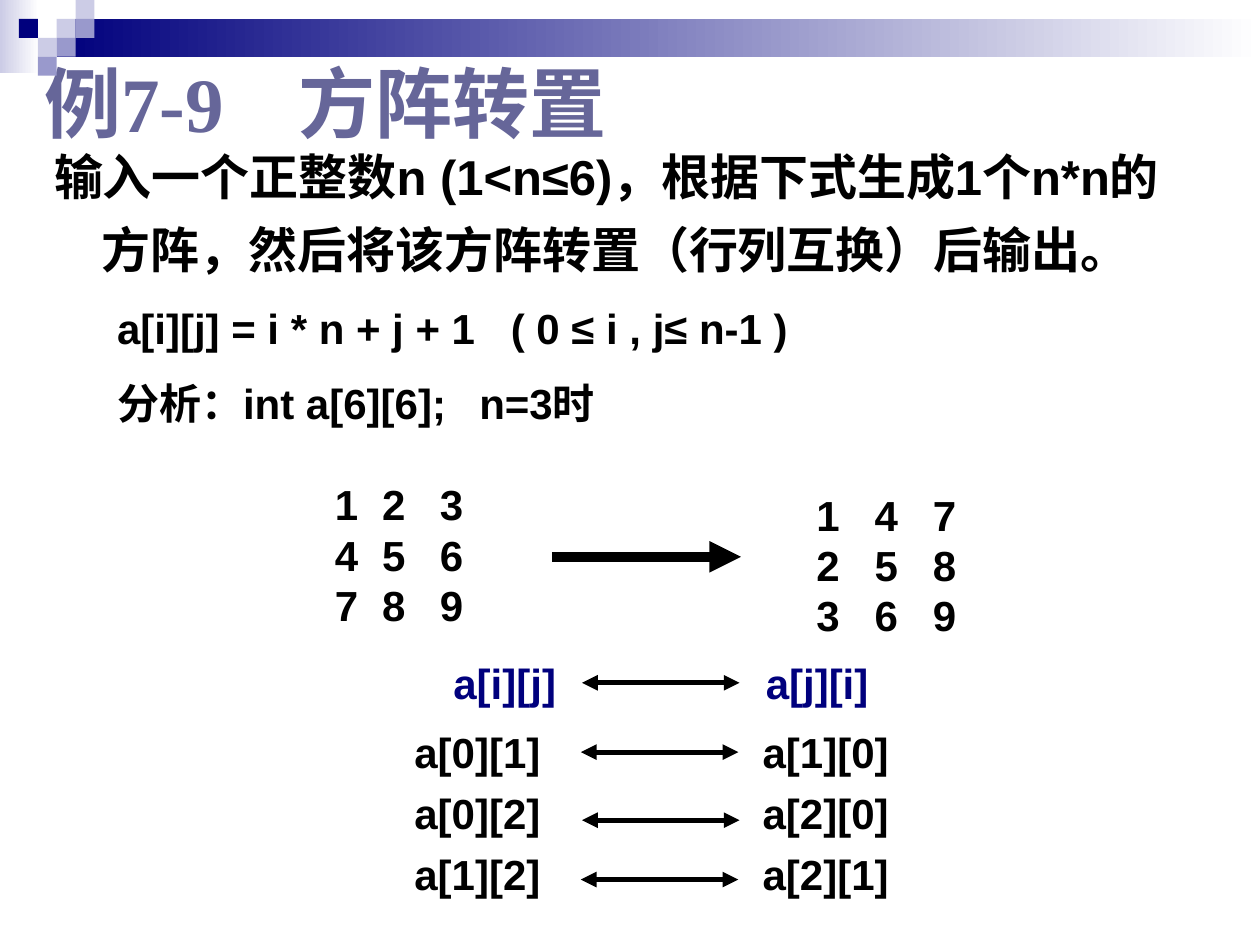
"""Build the slide on transposing a square matrix."""
from lxml import etree
from pptx import Presentation, util as u
from pptx.dml.color import RGBColor
from pptx.enum import shapes as s, text as t
from pptx.oxml.ns import qn

Pt = u.Pt
THEME = dict(
    navy="00007D", pale="CCCCE6", mid="9999CC", white="FFFFFF", black="000000", title="666699",
    sans="Arial", serif="Times New Roman", head=44, lead=28, body=24,
)

TITLE = "例7-9\t方阵转置"
TASK = [
    ("输入一个正整数n (1<n≤6)，根据下式生成1个n*n的方阵，然后将该方阵转置（行列互换）后输出。", "lead", 27.36, -27.36, []),
    ("a[i][j] = i * n + j + 1\t( 0 ≤ i , j≤ n-1 )", "body", 36, 0, [225]),
    ("分析：int a[6][6];\tn=3时", "body", 36, 0, [207]),
]
ROWS = [[1, 2, 3], [4, 5, 6], [7, 8, 9]]
GRIDS = [
    (ROWS, (184.3, 270, 113, 94), [27, 60]),
    (list(zip(*ROWS)), (459.4, 276, 156, 94), [33.3, 66.6]),
]
RULE = [("a[i][j]", "a[j][i]")]
SWAPS = [(f"a[{i}][{j}]", f"a[{j}][{i}]") for i in range(3) for j in range(i + 1, 3)]
PAIRS = [
    (SWAPS, (229.7, 411.8, 342, 106.6), [199], "black", 6),
    (RULE, (252, 372.2, 278, 36), [178.5], "navy", 0),
]
ARROWS = [(315.4, 318.2, 108, 6, False)] + [
    (x, y, 90, 3, True) for x, y in [(332.6, 390.2), (331.9, 429.8), (332.6, 468.7), (331.9, 502.6)]
]
CELL = 10.8
BANDS = [((0, 0, 22.3, 41.8), "pale"), ((32.4, CELL, 687.6, 21.6), "navy")]
TILES = [
    (3, 1, "pale"), (4, 0, "pale"), (4, 1, "mid"), (2, 2, "pale"),
    (1, 1, "navy"), (3, 2, "mid"), (2, 3, "mid"),
]


def hue(name):
    return RGBColor.from_string(THEME[name])


def block(slide, box, tint=None, fade=None):
    item = slide.shapes.add_shape(s.MSO_SHAPE.RECTANGLE, *map(Pt, box))
    item.shadow.inherit = False
    item.line.fill.background()
    if fade:
        item.fill.gradient()
        item.fill.gradient_angle = 0
        for stop, name in zip(item.fill.gradient_stops, (fade, "white")):
            stop.color.rgb = hue(name)
            stop.position = float(name == "white")
    else:
        item.fill.solid()
        item.fill.fore_color.rgb = hue(tint)


def style(para, size, tint="black", face="sans", stops=(), left=0, hang=0):
    props = para._p.get_or_add_pPr()
    for key, value in (("marL", left), ("indent", hang)):
        if value:
            props.set(key, str(Pt(value)))
    if stops:
        tabs = etree.SubElement(props, qn("a:tabLst"))
        for stop in stops:
            etree.SubElement(tabs, qn("a:tab"), pos=str(Pt(stop)), algn="l")
    para.alignment = t.PP_ALIGN.LEFT
    for run in para.runs:
        font = run.font
        font.name, font.size, font.bold = THEME[face], Pt(THEME[size]), True
        font.color.rgb = hue(tint)


def write(slide, box, lines):
    frame = slide.shapes.add_textbox(*map(Pt, box)).text_frame
    frame.word_wrap = True
    frame.text = "\n".join(lines)
    return frame.paragraphs


def columns(slide, rows, box, stops, tint="black", gap=0):
    lines = ["\t".join(map(str, row)) for row in rows]
    for k, para in enumerate(write(slide, box, lines)):
        if k and gap:
            para.space_before = Pt(gap)
        style(para, "body", tint, stops=stops)


def arrow(slide, x, y, span, width, both):
    link = slide.shapes.add_connector(s.MSO_CONNECTOR.STRAIGHT, Pt(x), Pt(y), Pt(x + span), Pt(y))
    link.line.width = Pt(width)
    link.line.color.rgb = hue("black")
    edge = link.line._get_or_add_ln()
    for end in ["headEnd", "tailEnd"] if both else ["tailEnd"]:
        etree.SubElement(edge, qn("a:" + end), type="triangle")
    etree.SubElement(link._element.spPr, qn("a:effectLst"))


def main():
    deck = Presentation()
    deck.slide_width, deck.slide_height = Pt(720), Pt(540)
    slide = deck.slides.add_slide(deck.slide_layouts[5])
    for box, tint in BANDS:
        block(slide, box, fade=tint)
    for col, row, tint in TILES:
        block(slide, (col * CELL, row * CELL, CELL, CELL), tint)

    head = slide.shapes.title
    head.left, head.top, head.width, head.height = map(Pt, (18, 25.2, 354, 66))
    head.text_frame.text = TITLE
    head.text_frame.vertical_anchor = t.MSO_ANCHOR.MIDDLE
    style(head.text_frame.paragraphs[0], "head", "title", "serif", [145.5])

    paras = write(slide, (23.8, 72, 670.3, 180.7), [line[0] for line in TASK])
    for k, (para, (_, size, left, hang, stops)) in enumerate(zip(paras, TASK)):
        para.line_spacing = 1.24
        if k:
            para.space_before = Pt(7)
        style(para, size, stops=stops, left=left, hang=hang)

    for grid in GRIDS:
        columns(slide, *grid)
    for pair in PAIRS:
        columns(slide, *pair)
    for line in ARROWS:
        arrow(slide, *line)
    deck.save("out.pptx")


if __name__ == "__main__":
    main()
